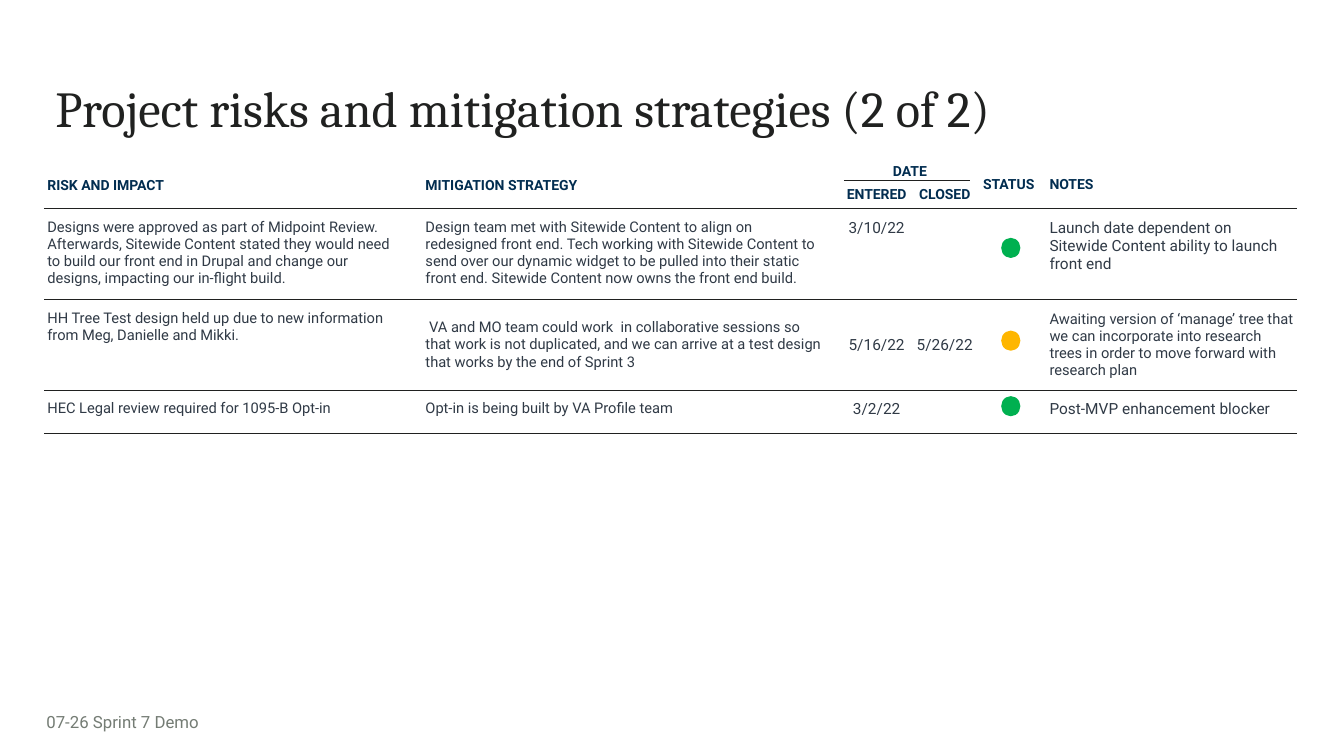
from lxml import etree
from pptx import Presentation
from pptx.dml.color import RGBColor
from pptx.enum import shapes, text
from pptx.oxml import ns
from pptx.util import Inches, Pt

INK = RGBColor(0x20, 0x21, 0x20)
NAVY = RGBColor(0x02, 0x2D, 0x50)
SLATE = RGBColor(0x30, 0x3A, 0x46)
GRAY = RGBColor(0x74, 0x7C, 0x74)
WHITE = RGBColor(0xFF, 0xFF, 0xFF)
GREEN = RGBColor(0x00, 0xB0, 0x50)
AMBER = RGBColor(0xFE, 0xB6, 0x00)

TOP, MIDDLE = text.MSO_ANCHOR.TOP, text.MSO_ANCHOR.MIDDLE
LEFT, CENTER = text.PP_ALIGN.LEFT, text.PP_ALIGN.CENTER
PLAIN_STYLE = "{2D5ABB26-0587-4C30-8999-92F81FD0307C}"

COLUMN_WIDTHS = [3.75, 4.16, 0.69, 0.66, 0.61, 2.55]
ROW_HEIGHTS = [0.23, 0.23, 0.88, 0.88, 0.43]
STATUS_COLUMN = 4
RIGHT_INSETS = [0.2, 0.2, 0.03, 0.03, 0.03, 0.03]
BODY_SIZES = [10.5, 10.5, 11, 11, 11, 11]

# Row, column, last row, last column, wording, line spacing
HEADERS = [
    (0, 0, 1, 0, "RISK AND IMPACT", 1.15),
    (0, 1, 1, 1, "MITIGATION STRATEGY", 1.15),
    (0, 2, 0, 3, "DATE", 1),
    (1, 2, 1, 2, "ENTERED", 1),
    (1, 3, 1, 3, "CLOSED", 1),
    (0, 4, 1, 4, "STATUS", 1),
    (0, 5, 1, 5, "NOTES", 1),
]

# Risk, mitigation, entered, closed, status colour, notes
RISKS = [
    ("Designs were approved as part of Midpoint Review. Afterwards, Sitewide Content "
     "stated they would need to build our front end in Drupal and change our designs, "
     "impacting our in-flight build.",
     "Design team met with Sitewide Content to align on redesigned front end. Tech "
     "working with Sitewide Content to send over our dynamic widget to be pulled into "
     "their static front end. Sitewide Content now owns the front end build.",
     "3/10/22", "", GREEN,
     "Launch date dependent on Sitewide Content ability to launch front end"),
    ("HH Tree Test design held up due to new information from Meg, Danielle and Mikki.",
     " VA and MO team could work  in collaborative sessions so that work is not "
     "duplicated, and we can arrive at a test design that works by the end of Sprint 3",
     "5/16/22", "5/26/22", AMBER,
     "Awaiting version of ‘manage’ tree that we can incorporate into research trees "
     "in order to move forward with research plan"),
    ("HEC Legal review required for 1095-B Opt-in",
     "Opt-in is being built by VA Profile team",
     "3/2/22", "", GREEN, "Post-MVP enhancement blocker"),
]
MIDDLE_ROW = 1  # the risk whose cells, apart from the first, are centred vertically
DOT_TOPS = [2.36, 3.28, 3.93]


def write(paragraph, wording, size, color, font="Roboto", bold=False,
          align=LEFT, spacing=1):
    paragraph.alignment = align
    paragraph.line_spacing = spacing
    run = paragraph.add_run()
    run.text = wording
    run.font.color.rgb = color
    for name, value in {"name": font, "size": Pt(size), "bold": bold}.items():
        setattr(run.font, name, value)


def set_insets(holder, left, top, right, bottom):
    for side, inset in dict(left=left, top=top, right=right, bottom=bottom).items():
        setattr(holder, f"margin_{side}", Inches(inset))


def set_borders(cell, colors):
    """Draw 0.75 pt borders; colors maps L, R, T, B, in that order, to a colour."""
    properties = cell._tc.get_or_add_tcPr()
    for position, (side, color) in enumerate(colors.items()):
        border = etree.Element(ns.qn(f"a:ln{side}"), w=str(Pt(0.75)))
        fill = etree.SubElement(border, ns.qn("a:solidFill"))
        etree.SubElement(fill, ns.qn("a:srgbClr"), val=str(color))
        properties.insert(position, border)


def add_label(slide, box, wording, insets, **style):
    frame = slide.shapes.add_textbox(*map(Inches, box)).text_frame
    frame.word_wrap = True
    set_insets(frame, *insets)
    write(frame.paragraphs[0], wording, **style)


def fill_headers(table):
    for row, column, last_row, last_column, wording, spacing in HEADERS:
        cell = table.cell(row, column)
        if (row, column) != (last_row, last_column):
            cell.merge(table.cell(last_row, last_column))
        cell.vertical_anchor = MIDDLE if last_row > row else TOP
        set_insets(cell, 0.1 if wording == "NOTES" else 0.03, 0.03, 0.03, 0.03)
        write(cell.text_frame.paragraphs[0], wording, 10, NAVY, bold=True,
              align=CENTER if 2 <= column <= STATUS_COLUMN else LEFT, spacing=spacing)


def fill_risks(table):
    for index, risk in enumerate(RISKS):
        for column, entry in enumerate(risk):
            if column == STATUS_COLUMN or not entry:
                continue
            cell = table.cell(index + 2, column)
            centred = index == MIDDLE_ROW and column > 0
            cell.vertical_anchor = MIDDLE if centred else TOP
            set_insets(cell, 0.1 if column == 5 else 0.03, 0.1, RIGHT_INSETS[column], 0.1)
            size = 10.5 if centred and column == 5 else BODY_SIZES[column]
            write(cell.text_frame.paragraphs[0], entry, size, SLATE,
                  align=CENTER if column in (2, 3) else LEFT)


def add_risk_table(slide, left, top):
    table = slide.shapes.add_table(
        len(ROW_HEIGHTS), len(COLUMN_WIDTHS), Inches(left), Inches(top),
        Inches(sum(COLUMN_WIDTHS)), Inches(sum(ROW_HEIGHTS))).table
    table.first_row = table.horz_banding = False
    table._tbl.tblPr.find(ns.qn("a:tableStyleId")).text = PLAIN_STYLE
    for column, width in zip(table.columns, COLUMN_WIDTHS):
        column.width = Inches(width)
    for row, height in zip(table.rows, ROW_HEIGHTS):
        row.height = Inches(height)

    fill_headers(table)
    fill_risks(table)

    # Rules under the header and each risk, white gaps between headers
    for index, row in enumerate(table.rows):
        for column, cell in enumerate(row.cells):
            cell.fill.background()
            if index < 2:
                borders = {"L": WHITE, "R": WHITE}
                if index == 1 or column not in (2, 3):
                    borders["B"] = INK
            else:
                borders = {"T": INK, "B": INK}
            set_borders(cell, borders)

    # Rule under the date heading
    date_left = left + sum(COLUMN_WIDTHS[:2]) + 0.02
    rule = slide.shapes.add_connector(
        shapes.MSO_CONNECTOR.STRAIGHT, Inches(date_left), Inches(top + 0.2),
        Inches(date_left + 1.25), Inches(top + 0.2))
    rule.line.color.rgb = INK
    rule.line.width = Pt(0.75)
    etree.SubElement(rule._element.spPr, ns.qn("a:effectLst"))

    # Status dots
    dot_left = left + sum(COLUMN_WIDTHS[:STATUS_COLUMN]) + 0.23
    for risk, dot_top in zip(RISKS, DOT_TOPS):
        dot = slide.shapes.add_shape(
            shapes.MSO_SHAPE.OVAL, Inches(dot_left), Inches(dot_top),
            Inches(0.19), Inches(0.2))
        dot.shadow.inherit = False
        dot.fill.solid()
        dot.fill.fore_color.rgb = risk[STATUS_COLUMN]
        dot.line.fill.background()


def main():
    deck = Presentation()
    deck.slide_width, deck.slide_height = Inches(13.33), Inches(7.5)
    slide = deck.slides.add_slide(deck.slide_layouts[6])

    # Title
    add_label(slide, (0.45, 0.78, 12.42, 0.82),
              "Project risks and mitigation strategies (2 of 2)",
              (0.1, 0.05, 0.1, 0.05), size=36, color=INK, font="Cambria", spacing=0.9)
    # Risk register
    add_risk_table(slide, 0.44, 1.59)
    # Footer
    add_label(slide, (0.46, 7.01, 2.98, 0.3), "07-26 Sprint 7 Demo",
              (0, 0.05, 0.1, 0.05), size=12, color=GRAY)

    deck.save("out.pptx")


if __name__ == "__main__":
    main()
